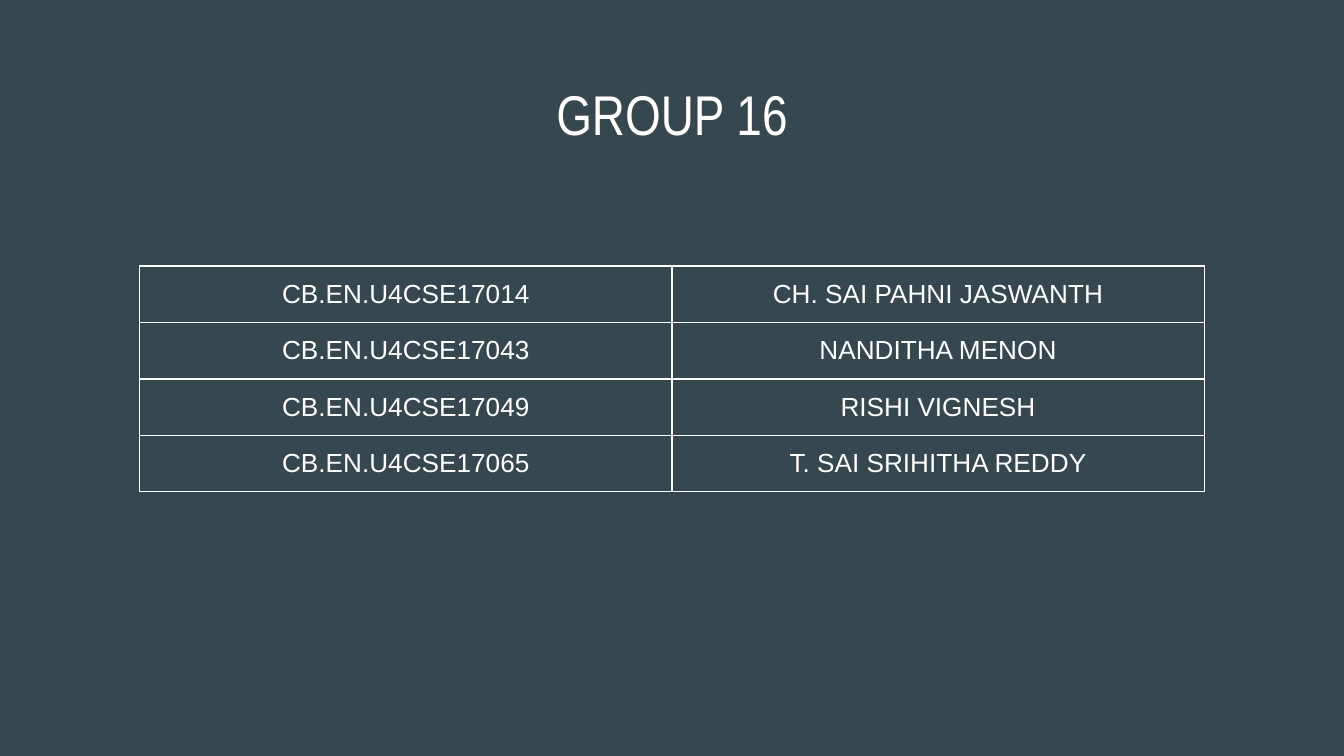
from dataclasses import dataclass

from lxml import etree
from pptx import Presentation
from pptx import util as u
from pptx.dml.color import RGBColor
from pptx.enum import text
from pptx.oxml import ns


@dataclass(frozen=True)
class Theme:
    background: str = "37474F"
    ink: str = "FFFFFF"
    title_font: str = "Arial Narrow"
    body_font: str = "Arial"
    title_size: int = 30
    body_size: int = 14
    border: float = 0.75
    inset: float = 0.1


class SlideBuilder:
    def __init__(self, deck, theme):
        self.theme = theme
        self.slide = deck.slides.add_slide(deck.slide_layouts[5])
        fill = self.slide.background.fill
        fill.solid()
        fill.fore_color.rgb = RGBColor.from_string(theme.background)

    def style(self, holder, frame, font_name, size):
        inset = u.Inches(self.theme.inset)
        holder.margin_left = holder.margin_right = inset
        holder.margin_top = holder.margin_bottom = inset
        holder.vertical_anchor = text.MSO_ANCHOR.TOP
        for paragraph in frame.paragraphs:
            paragraph.alignment = text.PP_ALIGN.CENTER
            for run in paragraph.runs:
                run.font.name = font_name
                run.font.size = u.Pt(size)
                run.font.color.rgb = RGBColor.from_string(self.theme.ink)

    def title(self, wording, left, top, width, height):
        heading = self.slide.shapes.title
        heading.left, heading.top = u.Inches(left), u.Inches(top)
        heading.width, heading.height = u.Inches(width), u.Inches(height)
        frame = heading.text_frame
        frame.text = wording
        frame.word_wrap = True
        frame.auto_size = text.MSO_AUTO_SIZE.NONE
        self.style(frame, frame, self.theme.title_font, self.theme.title_size)

    def outline(self, cell):
        properties = cell._tc.get_or_add_tcPr()
        for side in ("lnL", "lnR", "lnT", "lnB"):
            line = etree.SubElement(
                properties, ns.qn(f"a:{side}"), w=str(u.Pt(self.theme.border))
            )
            paint = etree.SubElement(line, ns.qn("a:solidFill"))
            etree.SubElement(paint, ns.qn("a:srgbClr"), val=self.theme.ink)

    def table(self, rows, left, top, column_width, row_height):
        columns = len(rows[0])
        roster = self.slide.shapes.add_table(
            len(rows), columns, u.Inches(left), u.Inches(top),
            u.Inches(column_width * columns), u.Inches(row_height * len(rows)),
        ).table
        roster.first_row = False
        roster.horz_banding = False
        for row, values in zip(roster.rows, rows):
            row.height = u.Inches(row_height)
            for cell, value in zip(row.cells, values):
                cell.text_frame.text = value
                self.outline(cell)
                cell.fill.background()
                self.style(cell, cell.text_frame, self.theme.body_font, self.theme.body_size)


def main():
    deck = Presentation()
    deck.slide_width, deck.slide_height = u.Inches(10), u.Inches(10 * 9 / 16)
    builder = SlideBuilder(deck, Theme())
    builder.title("GROUP 16", 0.34, 0.49, 9.32, 0.63)
    members = [
        ("CB.EN.U4CSE17014", "CH. SAI PAHNI JASWANTH"),
        ("CB.EN.U4CSE17043", "NANDITHA MENON"),
        ("CB.EN.U4CSE17049", "RISHI VIGNESH"),
        ("CB.EN.U4CSE17065", "T. SAI SRIHITHA REDDY"),
    ]
    builder.table(members, 1.04, 1.98, 3.96, 0.42)
    deck.save("out.pptx")


if __name__ == "__main__":
    main()
